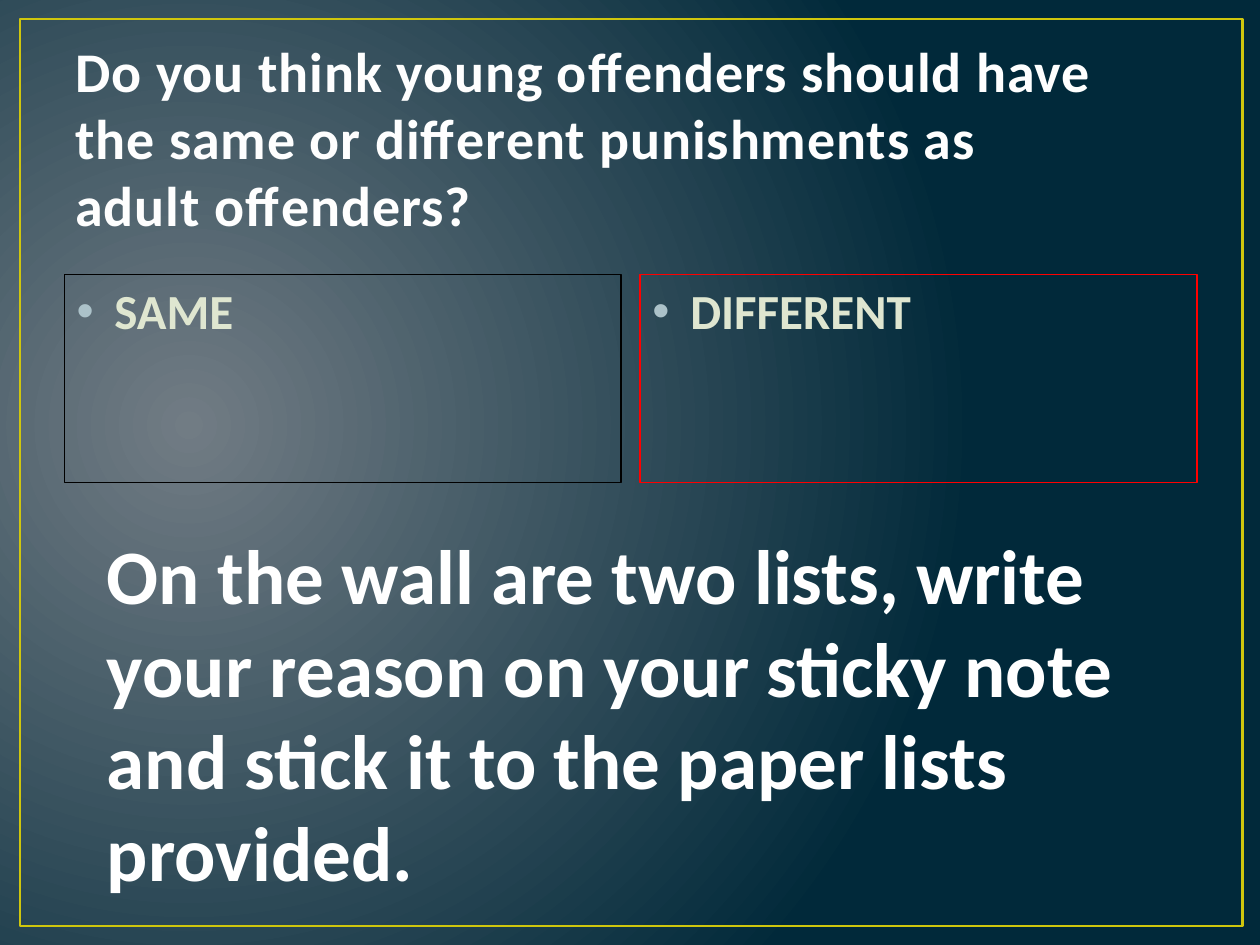
from dataclasses import dataclass

from lxml.etree import SubElement
from pptx import Presentation
from pptx.dml.color import RGBColor
from pptx.enum.shapes import MSO_SHAPE
from pptx.enum.text import MSO_ANCHOR, PP_ALIGN
from pptx.oxml.ns import qn
from pptx.util import Inches, Pt


@dataclass(frozen=True)
class Theme:
    """Colours, font and type sizes of the slide."""
    font: str = "Calibri"
    glow: str = "717C84"
    navy: str = "01293A"
    frame: str = "CFC60D"
    title: str = "FEFEFE"
    label: str = "DFE6D0"
    bullet: str = "ACC2C9"
    white: str = "FFFFFF"
    same: str = "000000"
    different: str = "FF0000"
    title_size: int = 32
    label_size: int = 28
    task_size: int = 44


THEME = Theme()


def rgb(color):
    """Turn a hex string into a colour."""
    return RGBColor.from_string(color)


def paint_background(s):
    """Fill the slide with a circular gradient centred at the left."""
    fill = s.background.fill
    fill.gradient()
    for stop, position, color in zip(fill.gradient_stops, (0, 1), (THEME.glow, THEME.navy)):
        stop.position = position
        stop.color.rgb = rgb(color)
    grad = s.background._cSld.find(".//" + qn("a:gradFill"))
    lin = grad.find(qn("a:lin"))
    if lin is not None:
        grad.remove(lin)
    path = SubElement(grad, qn("a:path"), path="circle")
    SubElement(path, qn("a:fillToRect"), l="15000", t="50000", r="85000", b="60000")


def add_outline(s, box, color, width):
    """Add an unfilled rectangle with a coloured line."""
    sp = s.shapes.add_shape(MSO_SHAPE.RECTANGLE, *map(Inches, box))
    sp.shadow.inherit = False
    sp.fill.background()
    sp.line.color.rgb = rgb(color)
    sp.line.width = Pt(width)
    return sp


def write_text(sp, text, size, color, anchor=MSO_ANCHOR.TOP):
    """Set bold, left-aligned, wrapped text and return its paragraph."""
    tf = sp.text_frame
    tf.word_wrap = True
    tf.vertical_anchor = anchor
    tf.text = text
    p = tf.paragraphs[0]
    p.alignment = PP_ALIGN.LEFT
    for r in p.runs:
        r.font.name = THEME.font
        r.font.size = Pt(size)
        r.font.bold = True
        r.font.color.rgb = rgb(color)
    return p


def add_title(s, box):
    """Add the question, resting on the bottom of its box."""
    sp = s.shapes.add_textbox(*map(Inches, box))
    text = ("Do you think young offenders should have the same or different "
            "punishments as\vadult offenders?")
    p = write_text(sp, text, THEME.title_size, THEME.title, MSO_ANCHOR.BOTTOM)
    for r in p.runs:
        r.font._element.set("spc", "50")


def add_answers(s, box, gap):
    """Split the box into two equal outlined answer lists."""
    left, top, width, height = box
    column = (width - gap) / 2
    answers = (("SAME", THEME.same), ("DIFFERENT", THEME.different))
    for i, (label, color) in enumerate(answers):
        sp = add_outline(s, (left + i * (column + gap), top, column, height), color, 0.75)
        p = write_text(sp, label, THEME.label_size, THEME.label)
        pPr = p._p.get_or_add_pPr()
        pPr.set("marL", str(Inches(0.3)))
        pPr.set("indent", str(-Inches(0.3)))
        bullet_color = SubElement(pPr, qn("a:buClr"))
        SubElement(bullet_color, qn("a:srgbClr"), val=THEME.bullet)
        SubElement(pPr, qn("a:buFont"), typeface="Arial")
        SubElement(pPr, qn("a:buChar"), char="•")


def add_task(s, box):
    """Add the large instruction to the class."""
    sp = s.shapes.add_textbox(*map(Inches, box))
    text = ("On the wall are two lists, write your reason on your sticky note "
            "and stick it to the paper lists provided.")
    write_text(sp, text, THEME.task_size, THEME.white)


def main():
    """Build and save the slide."""
    prs = Presentation()
    prs.slide_width, prs.slide_height = Inches(10), Inches(7.5)
    s = prs.slides.add_slide(prs.slide_layouts[6])
    paint_background(s)
    add_outline(s, (0.16, 0.15, 9.7, 7.2), THEME.frame, 1.5)
    add_title(s, (0.5, 0.3, 9, 1.64))
    add_answers(s, (0.51, 2.18, 8.99, 1.65), gap=0.15)
    add_task(s, (0.75, 4.14, 8.35, 3.06))
    prs.save("out.pptx")


if __name__ == "__main__":
    main()
